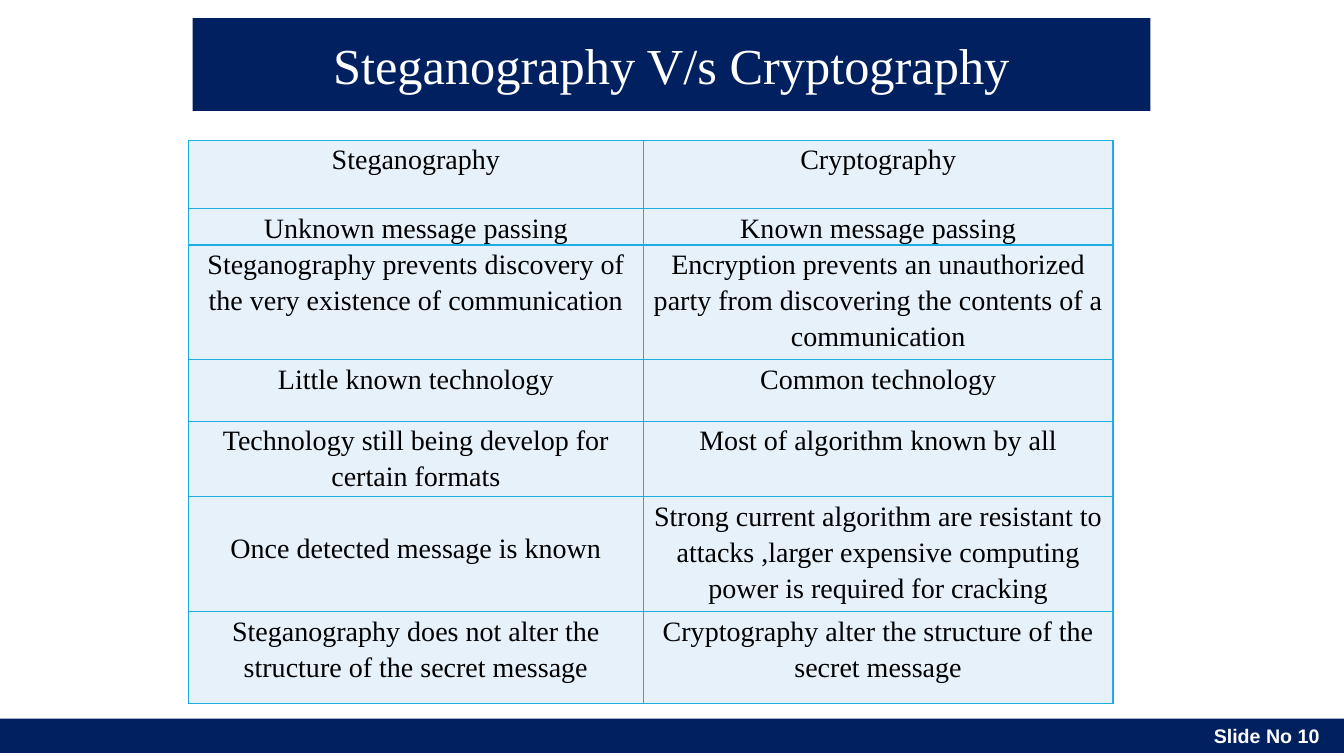
from pptx import Presentation
from pptx.dml.color import RGBColor
from pptx.enum import shapes, text
from pptx.oxml import parse_xml
from pptx.oxml.ns import nsdecls
from pptx.util import Inches, Pt

NAVY = RGBColor(0x00, 0x20, 0x60)
WHITE = RGBColor(0xFF, 0xFF, 0xFF)
BLACK = RGBColor(0x00, 0x00, 0x00)
PALE_BLUE = RGBColor(0xE7, 0xF1, 0xFA)
BORDER_BLUE = RGBColor(0x1C, 0xAD, 0xE4)

COLUMN_WIDTHS = (4.51, 4.66)
ROW_HEIGHTS = (0.68, 0.36, 1.14, 0.61, 0.75, 1.14, 0.91)
LOWERED_TEXT = "Once detected message is known"
COMPARISON = (
    ("Steganography", "Cryptography"),
    ("Unknown message passing", "Known message passing"),
    ("Steganography prevents discovery of the very existence of communication",
     "Encryption prevents an unauthorized party from discovering the contents "
     "of a communication"),
    ("Little known technology", "Common technology"),
    ("Technology still being develop for certain formats",
     "Most of algorithm known by all"),
    (LOWERED_TEXT,
     "Strong current algorithm are resistant to attacks ,larger expensive "
     "computing power is required for cracking"),
    ("Steganography does not alter the structure of the secret message",
     "Cryptography alter the structure of the secret message"),
)


def write_text(frame, wording, size, color, font="Times New Roman", bold=False,
               align=text.PP_ALIGN.CENTER, line_spacing=1.0):
    frame.word_wrap = True
    paragraph = frame.paragraphs[0]
    paragraph.alignment = align
    paragraph.line_spacing = line_spacing
    run = paragraph.add_run()
    run.text = wording
    run.font.name = font
    run.font.size = Pt(size)
    run.font.bold = bold
    run.font.color.rgb = color


def add_footer(slide):
    bar = slide.shapes.add_shape(shapes.MSO_SHAPE.RECTANGLE, Inches(0),
                                 Inches(7.13), Inches(13.33), Inches(0.34))
    bar.shadow.inherit = False
    bar.fill.solid()
    bar.fill.fore_color.rgb = NAVY
    bar.line.fill.background()
    bar.text_frame.margin_right = Inches(0.24)
    bar.text_frame.vertical_anchor = text.MSO_ANCHOR.MIDDLE
    write_text(bar.text_frame, "Slide No 10", 14, WHITE, font="Arial",
               bold=True, align=text.PP_ALIGN.RIGHT)


def set_title(slide, wording):
    title = slide.shapes.title
    title.left, title.top = Inches(1.91), Inches(0.18)
    title.width, title.height = Inches(9.5), Inches(0.92)
    title.fill.solid()
    title.fill.fore_color.rgb = NAVY
    title.text_frame.vertical_anchor = text.MSO_ANCHOR.MIDDLE
    write_text(title.text_frame, wording, 36, WHITE)


def format_cell(cell):
    cell.margin_left = cell.margin_right = Inches(0.07)
    cell.margin_top = cell.margin_bottom = Inches(0)
    cell.vertical_anchor = text.MSO_ANCHOR.TOP
    # Borders come before the fill in the cell properties
    properties = cell._tc.get_or_add_tcPr()
    for side in ("lnL", "lnR", "lnT", "lnB"):
        properties.append(parse_xml(
            f'<a:{side} {nsdecls("a")} w="{Pt(1)}"><a:solidFill>'
            f'<a:srgbClr val="{BORDER_BLUE}"/></a:solidFill></a:{side}>'))
    cell.fill.solid()
    cell.fill.fore_color.rgb = PALE_BLUE


def add_comparison(slide):
    table = slide.shapes.add_table(
        len(ROW_HEIGHTS), len(COLUMN_WIDTHS), Inches(1.87), Inches(1.39),
        Inches(sum(COLUMN_WIDTHS)), Inches(sum(ROW_HEIGHTS))).table
    table.first_row = table.horz_banding = False
    for column, width in zip(table.columns, COLUMN_WIDTHS):
        column.width = Inches(width)
    for row, height, wordings in zip(table.rows, ROW_HEIGHTS, COMPARISON):
        row.height = Inches(height)
        for cell, wording in zip(row.cells, wordings):
            format_cell(cell)
            if wording == LOWERED_TEXT:
                cell.margin_top = Inches(0.32)
            write_text(cell.text_frame, wording, 20, BLACK, line_spacing=1.15)


def main():
    presentation = Presentation()
    presentation.slide_width = Inches(13.33)
    presentation.slide_height = Inches(7.5)
    # Title Only layout
    slide = presentation.slides.add_slide(presentation.slide_layouts[5])
    add_footer(slide)
    set_title(slide, "Steganography V/s Cryptography")
    add_comparison(slide)
    presentation.save("out.pptx")


if __name__ == "__main__":
    main()
